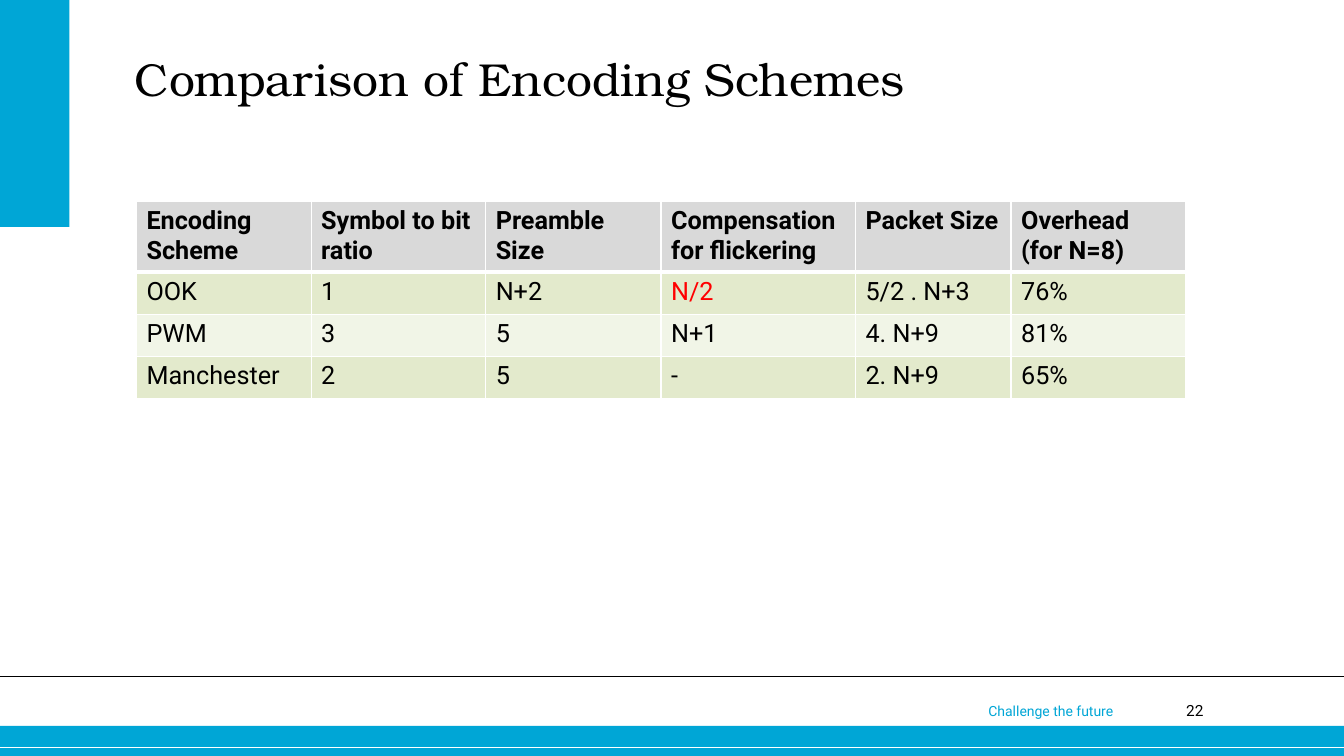
from pptx import Presentation
from pptx.dml.color import RGBColor
from pptx.enum.shapes import MSO_CONNECTOR, MSO_SHAPE
from pptx.enum.text import PP_ALIGN
from pptx.oxml.ns import qn
from pptx.util import Cm, Pt
from lxml.etree import SubElement

COLOURS = {"cyan": "00A6D6", "black": "000000", "white": "FFFFFF", "red": "FF0000",
           "header": "D9D9D9", "odd": "E3EACC", "even": "F1F5E7"}
SLIDE_WIDTH, SLIDE_HEIGHT = 33.87, 19.05

# Lengths are centimetres: left, top, width, height
BARS = [(0, 18.29, SLIDE_WIDTH, 0.76), (0, 0, 1.75, 5.72)]
# Height on the page, colour, points
RULES = [(18.84, "white", 0.75), (17.04, "black", 1)]

TITLE_STYLE = {"name": "TeX Gyre Bonum", "size": Pt(33)}
SLOGAN_STYLE = {"name": "Roboto", "size": Pt(10)}
NUMBER_STYLE = {"name": "Roboto", "size": Pt(11)}
HEADER_STYLE = {"name": "Roboto", "size": Pt(18), "bold": True}
BODY_STYLE = {"name": "Roboto", "size": Pt(18), "bold": False}

NO_MARGIN, USUAL_MARGIN = (0, 0), (0.25, 0.13)
# Text, box, margins, style, colour, alignment
TEXTS = [
    ("22", (28.65, 17.68, 1.68, 0.71), NO_MARGIN, NUMBER_STYLE, "black", PP_ALIGN.RIGHT),
    ("Challenge the future", (24.66, 17.58, 5.41, 0.69), USUAL_MARGIN, SLOGAN_STYLE,
     "cyan", PP_ALIGN.LEFT),
    ("Comparison of Encoding Schemes", (3.4, 1.27, 26.52, 3.45), NO_MARGIN, TITLE_STYLE,
     "black", PP_ALIGN.LEFT),
]

SCHEMES = [
    ("Encoding Scheme", "Symbol to bit ratio", "Preamble Size",
     "Compensation for flickering", "Packet Size", "Overhead (for N=8)"),
    ("OOK", "1", "N+2", "N/2", "5/2 . N+3", "76%"),
    ("PWM", "3", "5", "N+1", "4. N+9", "81%"),
    ("Manchester", "2", "5", "-", "2. N+9", "65%"),
]
TABLE_LEFT, TABLE_TOP = 3.44, 5.08
COLUMN_WIDTHS = [4.4, 4.4, 4.42, 4.9, 3.92, 4.4]
ROW_HEIGHTS = [1.74] + [1.06] * 3
HIGHLIGHTED = "N/2"


def colour(name):
    return RGBColor.from_string(COLOURS[name])


def write(paragraph, text, style, colour_name):
    span = paragraph.add_run()
    span.text = text
    for attribute, value in style.items():
        setattr(span.font, attribute, value)
    span.font.color.rgb = colour(colour_name)


def add_bar(page, place):
    bar = page.shapes.add_shape(MSO_SHAPE.RECTANGLE, *map(Cm, place))
    bar.shadow.inherit = False
    bar.fill.solid()
    bar.fill.fore_color.rgb = colour("cyan")
    bar.line.fill.background()


def add_rule(page, height, colour_name, points):
    """Draw a line across the full width of the page."""
    rule = page.shapes.add_connector(MSO_CONNECTOR.STRAIGHT, 0, Cm(height),
                                     Cm(SLIDE_WIDTH), Cm(height))
    rule.line.color.rgb = colour(colour_name)
    rule.line.width = Pt(points)
    SubElement(rule.element.spPr, qn("a:effectLst"))


def add_text(page, text, place, margins, style, colour_name, alignment):
    frame = page.shapes.add_textbox(*map(Cm, place)).text_frame
    frame.word_wrap = True
    frame.margin_left = frame.margin_right = Cm(margins[0])
    frame.margin_top = frame.margin_bottom = Cm(margins[1])
    frame.paragraphs[0].alignment = alignment
    write(frame.paragraphs[0], text, style, colour_name)


def add_borders(cell, widths):
    """Add white borders; they must precede the cell's fill."""
    properties = cell._tc.get_or_add_tcPr()
    for side, points in widths.items():
        border = SubElement(properties, qn(f"a:ln{side}"), w=str(Pt(points)))
        fill = SubElement(border, qn("a:solidFill"))
        SubElement(fill, qn("a:srgbClr"), val=COLOURS["white"])


def add_schemes(page):
    table = page.shapes.add_table(
        len(SCHEMES), len(COLUMN_WIDTHS), Cm(TABLE_LEFT), Cm(TABLE_TOP),
        Cm(sum(COLUMN_WIDTHS)), Cm(sum(ROW_HEIGHTS))).table
    for column, width in zip(table.columns, COLUMN_WIDTHS):
        column.width = Cm(width)
    for index, (row, height, texts) in enumerate(zip(table.rows, ROW_HEIGHTS, SCHEMES)):
        row.height = Cm(height)
        is_header = index == 0
        shade = "header" if is_header else "odd" if index % 2 else "even"
        widths = {"L": 1, "R": 1, "T": 3 if index == 1 else 1, "B": 3 if is_header else 1}
        for cell, text in zip(row.cells, texts):
            add_borders(cell, widths)
            cell.fill.solid()
            cell.fill.fore_color.rgb = colour(shade)
            write(cell.text_frame.paragraphs[0], text,
                  HEADER_STYLE if is_header else BODY_STYLE,
                  "red" if text == HIGHLIGHTED else "black")


def main():
    deck = Presentation()
    deck.slide_width, deck.slide_height = Cm(SLIDE_WIDTH), Cm(SLIDE_HEIGHT)
    page = deck.slides.add_slide(deck.slide_layouts[6])
    for place in BARS:
        add_bar(page, place)
    for rule in RULES:
        add_rule(page, *rule)
    for text in TEXTS:
        add_text(page, *text)
    add_schemes(page)
    deck.save("out.pptx")


if __name__ == "__main__":
    main()
